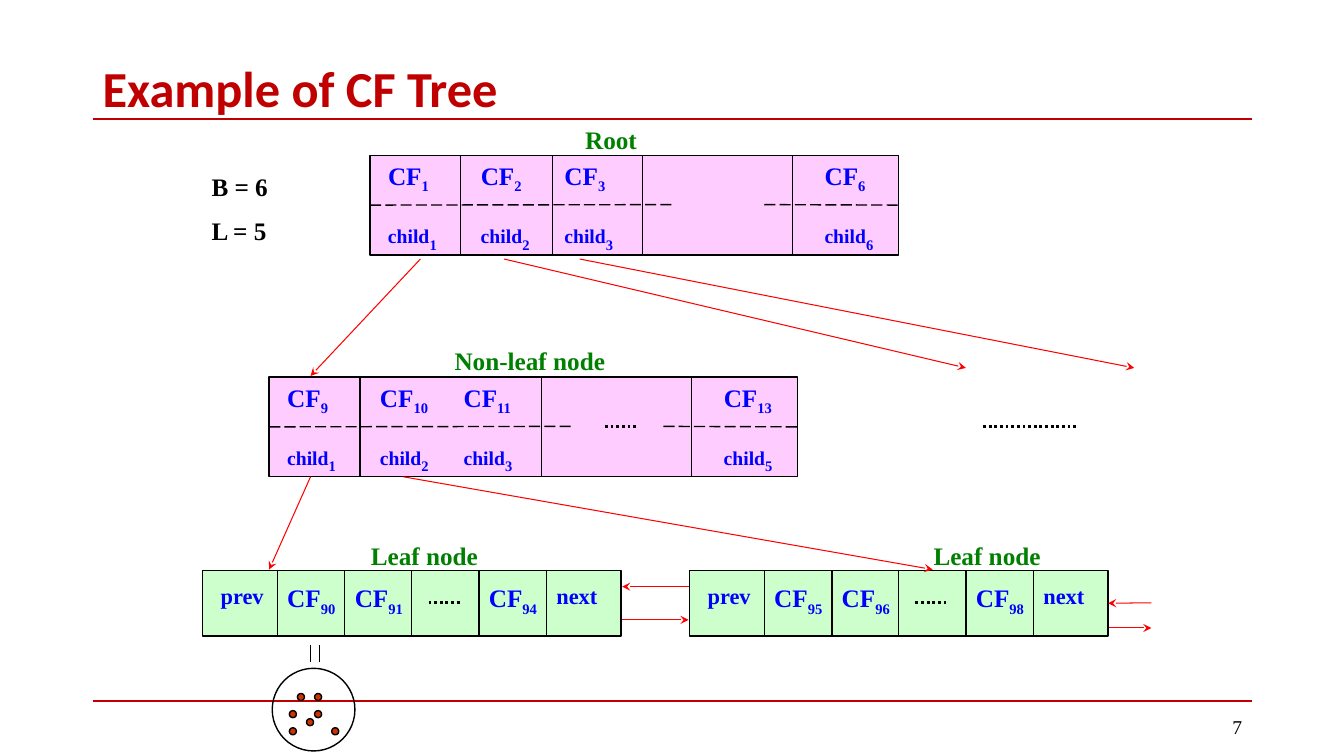
"""Build the slide that shows an example of a CF tree."""
from lxml.etree import SubElement
from pptx import Presentation
from pptx.dml.color import RGBColor
from pptx.enum.dml import MSO_LINE as Dash
from pptx.enum.shapes import MSO_CONNECTOR as Link, MSO_SHAPE as Shape
from pptx.enum.text import MSO_ANCHOR as Anchor, MSO_AUTO_SIZE as Fit, PP_ALIGN as Align
from pptx.oxml.ns import qn
from pptx.util import Emu, Pt

PX = 9144
THEME = {
    "black": "000000", "rule": "C00000", "arrow": "FF0000", "dot": "CC3300",
    "node": "FFCCFF", "leaf": "CCFFCC", "entry": "0000FF", "label": "008000",
    "title_font": "Calibri", "body_font": "Times New Roman",
    "title": 36, "body": 18, "pointer": 16, "child": 14,
}

TITLE = "Example of CF Tree"
PAGE_NUMBER = "7"
PARAMETERS = ["B = 6", "L = 5"]
LABELS = [("Root", 552, 118, 108), ("Non-leaf node", 417, 338, 217),
          ("Leaf node", 342, 531, 158), ("Leaf node", 900, 531, 158)]
NODES = [
    {"left": 367, "top": 154, "dividers": [90, 181, 270, 419],
     "entries": [("1", "1"), ("2", "2"), ("3", "3"), ("6", "6")]},
    {"left": 267, "top": 374, "dividers": [90, 270, 419],
     "entries": [("9", "1"), ("10", "2"), ("11", "3"), ("13", "5")]},
]
ENTRY_OFFSETS = [8, 100, 183, 441]
LEAVES = [(201, ["90", "91", None, "94"]), (684, ["95", "96", None, "98"])]
ARROWS = [(417, 257, 308, 373), (500, 257, 958, 365), (575, 257, 1125, 365),
          (308, 473, 267, 565), (400, 473, 925, 565), (683, 582, 617, 582),
          (617, 615, 683, 615), (1100, 623, 1142, 623)]
ELLIPSES = [(600, 423, 633, 423), (975, 423, 1067, 423)]
RULES = [(92, 118, 1242, 118), (92, 695, 1242, 695)]
TICKS = [(308, 640, 308, 657), (317, 640, 317, 657)]
CLUSTER = (270, 663, 82)
POINTS = [(295, 688), (312, 705), (312, 688), (287, 722), (287, 705), (304, 713), (329, 722)]
POINT_SIZE = 7

NODE_WIDTH, NODE_HEIGHT = 524, 99
LEAF_TOP, LEAF_WIDTH, LEAF_HEIGHT = 566, 415, 65
LEAF_DIVIDERS = [round(74 + 66.7 * step) for step in range(5)]

deck = Presentation()
deck.slide_width, deck.slide_height = Emu(1333 * PX), Emu(750 * PX)
page = deck.slides.add_slide(deck.slide_layouts[6])


def px(*lengths):
    return [Emu(length * PX) for length in lengths]


def color(name):
    return RGBColor.from_string(THEME[name])


def add_line(ends, ink="black", width=1, dash=None, arrow=False):
    line = page.shapes.add_connector(Link.STRAIGHT, *px(*ends))
    line.line.color.rgb = color(ink)
    for name, value in {"width": Pt(width), "dash_style": dash}.items():
        setattr(line.line, name, value)
    properties = line._element.spPr
    if arrow:
        SubElement(properties.find(qn("a:ln")), qn("a:tailEnd"), type="stealth")
    SubElement(properties, qn("a:effectLst"))
    return line


def add_block(kind, place, fill=None):
    block = page.shapes.add_shape(kind, *px(*place))
    block.shadow.inherit = False
    if fill:
        block.fill.solid()
        block.fill.fore_color.rgb = color(fill)
    else:
        block.fill.background()
    block.line.color.rgb = color("black")
    block.line.width = Pt(1)
    return block


def add_text(place, paragraphs, ink="entry", font="body_font", bold=True,
             align=Align.LEFT, anchor=Anchor.TOP, fit=Fit.SHAPE_TO_FIT_TEXT, spacing=1.0):
    box = page.shapes.add_textbox(*px(*place))
    frame = box.text_frame
    for name, value in {"word_wrap": True, "auto_size": fit, "vertical_anchor": anchor}.items():
        setattr(frame, name, value)
    for index, spans in enumerate(paragraphs):
        para = frame.add_paragraph() if index else frame.paragraphs[0]
        layout = {"alignment": align, "line_spacing": spacing, "space_before": Pt(10 if index else 0)}
        for name, value in layout.items():
            setattr(para, name, value)
        for position, (text, size) in enumerate(spans):
            span = para.add_run()
            span.text = text
            letters = {"name": THEME[font], "size": Pt(THEME[size]), "bold": bold}
            for name, value in letters.items():
                setattr(span.font, name, value)
            span.font.color.rgb = color(ink)
            if position:
                span._r.get_or_add_rPr().set("baseline", "-25000")


def add_node(left, top, dividers, entries):
    node = add_block(Shape.RECTANGLE, (left, top, NODE_WIDTH, NODE_HEIGHT), "node")
    for offset in dividers:
        add_line((left + offset, top, left + offset, top + NODE_HEIGHT))
    middle = top + NODE_HEIGHT // 2
    dashes = [add_line((left + start, middle, left + end, middle), dash=Dash.LONG_DASH)
              for start, end in [(0, 300), (391, NODE_WIDTH)]]
    dashes[0].begin_connect(node, 1)
    dashes[1].end_connect(node, 3)
    for offset, (feature, child) in zip(ENTRY_OFFSETS, entries):
        add_text((left + offset, top, 75, 40), [[("CF", "body"), (feature, "body")]])
        add_text((left + offset, top + 58, 100, 34), [[("child", "child"), (child, "body")]])


def add_leaf(left, features):
    leaf = add_block(Shape.RECTANGLE, (left, LEAF_TOP, LEAF_WIDTH, LEAF_HEIGHT), "leaf")
    for offset in LEAF_DIVIDERS:
        add_line((left + offset, LEAF_TOP, left + offset, LEAF_TOP + LEAF_HEIGHT))
    for offset, feature in zip(LEAF_DIVIDERS, features):
        if feature:
            add_text((left + offset, 573, 75, 40), [[("CF", "body"), (feature, "body")]])
        else:
            add_line((left + offset + 17, 598, left + offset + 50, 598), width=2, dash=Dash.ROUND_DOT)
    for text, offset in [("prev", 8), ("next", LEAF_DIVIDERS[-1])]:
        add_text((left + offset, 573, 75, 37), [[(text, "pointer")]])
    return leaf


def main():
    for ends in RULES:
        add_line(ends, "rule", 1.5)
    add_text((92, 61, 1150, 58), [[(TITLE, "title")]], "rule", "title_font",
             anchor=Anchor.MIDDLE, fit=Fit.NONE, spacing=0.9)
    add_text((942, 701, 300, 40), [[(PAGE_NUMBER, "child")]], "black", bold=False,
             align=Align.RIGHT, anchor=Anchor.MIDDLE, fit=Fit.NONE)
    for node in NODES:
        add_node(**node)
    leaves = [add_leaf(*leaf) for leaf in LEAVES]
    for ends in ARROWS:
        add_line(ends, "arrow", 0.75, arrow=True)
    incoming = add_line((1142, 598, 1100, 598), "arrow", 0.75, arrow=True)
    incoming.end_connect(leaves[-1], 3)
    for ends in ELLIPSES:
        add_line(ends, width=2, dash=Dash.ROUND_DOT)
    add_text((200, 165, 117, 85), [[(text, "body")] for text in PARAMETERS], "black")
    for text, left, top, width in LABELS:
        add_text((left, top, width, 40), [[(text, "body")]], "label", align=Align.CENTER)
    for left, top in POINTS:
        add_block(Shape.OVAL, (left, top, POINT_SIZE, POINT_SIZE), "dot")
    left, top, size = CLUSTER
    add_block(Shape.OVAL, (left, top, size, size))
    for ends in TICKS:
        add_line(ends, width=0.25)
    deck.save("out.pptx")


if __name__ == "__main__":
    main()
